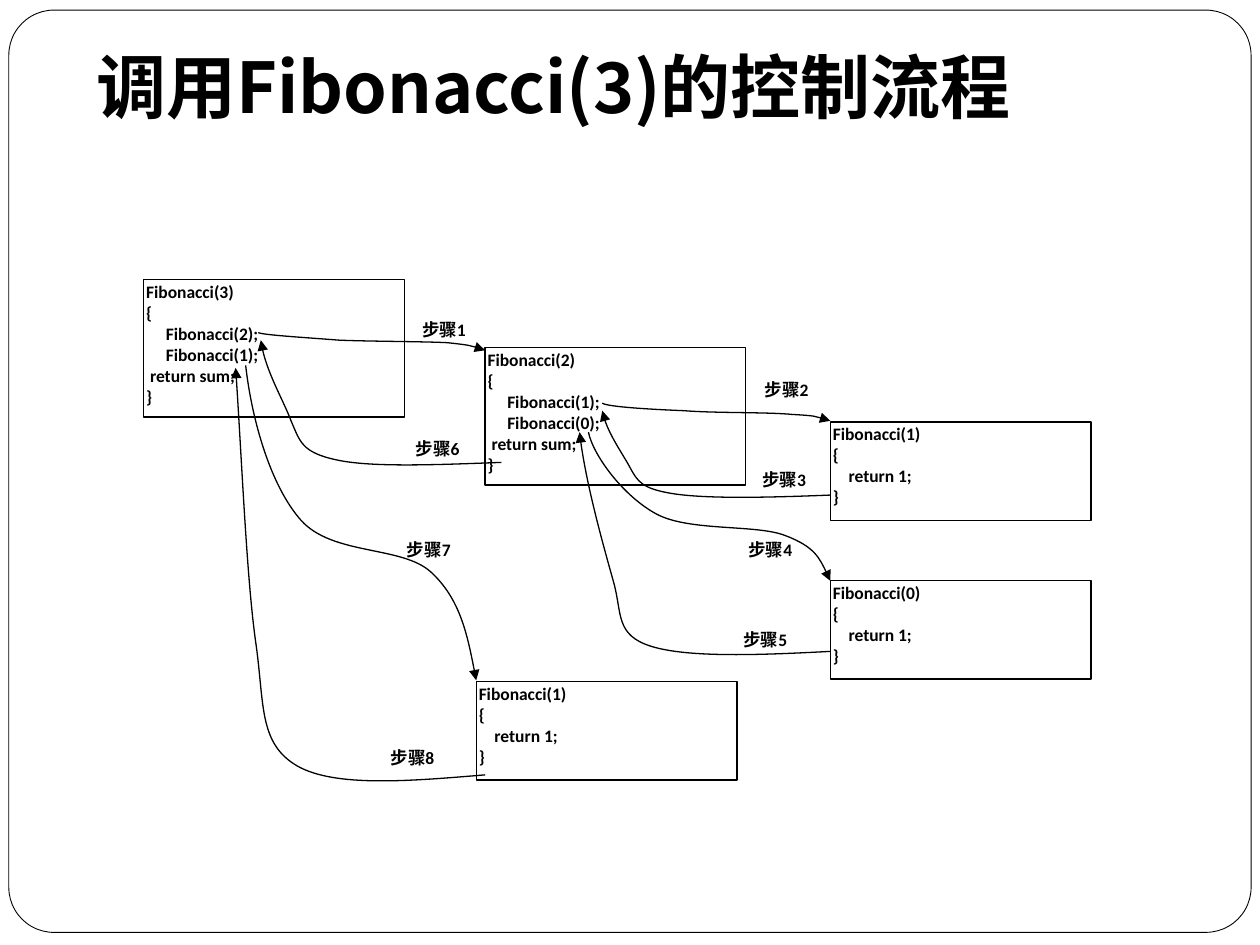
"""Draw the control flow of a call to Fibonacci(3)."""
from dataclasses import dataclass

from lxml import etree
from pptx import Presentation
from pptx.dml.color import RGBColor
from pptx.enum.shapes import MSO_SHAPE
from pptx.enum.text import MSO_ANCHOR, PP_ALIGN
from pptx.oxml.ns import qn
from pptx.util import Emu, Inches, Pt

RECTANGLE, ROUNDED = MSO_SHAPE.RECTANGLE, MSO_SHAPE.ROUNDED_RECTANGLE
TOP = MSO_ANCHOR.TOP
LEFT, JUSTIFY = PP_ALIGN.LEFT, PP_ALIGN.JUSTIFY
COLUMNS, ROWS = 100, 75
CELL = Inches(0.1)
CALL_WIDTH = 20.7
LABEL_SIZE = (4.9, 2.5)


@dataclass(frozen=True)
class Theme:
    ink: RGBColor = RGBColor(0, 0, 0)
    paper: RGBColor = RGBColor(255, 255, 255)
    code_font: str = "Calibri"
    chinese_font: str = "Noto Sans CJK SC"
    title_size: Pt = Pt(40)
    code_size: Pt = Pt(10)
    border_width: Pt = Pt(0.5)
    line_width: Pt = Pt(0.75)


@dataclass(frozen=True)
class Call:
    argument: int
    column: float
    row: float

    def code(self) -> list[str]:
        n = self.argument
        body = ["    return 1;"]
        if n > 1:
            body = [f"     Fibonacci({n - 1});", f"     Fibonacci({n - 2});", " return sum;"]
        return [f"Fibonacci({n})", "{", *body, "}"]

    def height(self) -> float:
        return 10.9 if self.argument > 1 else 7.8


@dataclass(frozen=True)
class Step:
    label_at: tuple[float, float]
    curve: tuple[tuple[float, float], ...]


THEME = Theme()

CALLS = [
    Call(3, 11.4, 22.2),
    Call(2, 38.5, 27.6),
    Call(1, 65.9, 33.5),
    Call(0, 65.9, 46.1),
    Call(1, 37.8, 54.1),
]

STEPS = [
    Step((33.3, 25.2), ((20.5, 26.4), (20.9, 26.6), (24.4, 26.8), (26.9, 27), (29.4, 27.1),
                        (33.6, 27.1), (35.5, 27.2), (37.4, 27.4), (38, 27.6), (38.5, 27.8))),
    Step((60.5, 30), ((47.8, 32), (48.2, 32.3), (51.8, 32.5), (54.3, 32.6), (56.8, 32.8),
                      (60.9, 32.7), (62.9, 32.9), (64.8, 33), (65.3, 33.2), (65.9, 33.4))),
    Step((60.3, 37.1), ((65.9, 39.3), (60.9, 39.5), (56.2, 39.6), (53.5, 39.2), (50.9, 38.8),
                        (50.6, 38.2), (50, 37.1), (49.4, 36), (48.1, 34.2), (47.8, 32.6))),
    Step((59.2, 42.7), ((46.7, 34.3), (47.1, 36.2), (49.5, 39.4), (52.1, 40.8), (54.7, 42.2),
                        (60, 41.6), (62.3, 42.5), (64.7, 43.4), (65.3, 44.8), (65.9, 46.1))),
    Step((58.8, 49.8), ((65.9, 51.7), (60.2, 52), (54.6, 52.2), (51.7, 51.3), (48.8, 50.4),
                        (49.4, 48.7), (48.7, 46.2), (48, 43.7), (46.4, 38.1), (46, 34.3))),
    Step((32.8, 34.7), ((39.8, 36.7), (34.5, 36.9), (29.4, 37.1), (26.7, 36.5), (23.9, 35.9),
                        (23.8, 35), (23.1, 33.4), (22.5, 31.8), (21, 29.3), (20.7, 27))),
    Step((32.1, 42.7), ((19.5, 29), (20, 33.4), (21.5, 38.6), (23.9, 41.3), (26.4, 44.1),
                        (31.9, 43.3), (34.2, 45.4), (36.5, 47.5), (37.2, 50.8), (37.8, 54))),
    Step((30.8, 59.2), ((38.5, 61.5), (32.5, 62), (26.6, 62.5), (23.6, 60.8), (20.5, 59),
                        (21, 55.9), (20.3, 51), (19.6, 46.1), (19.2, 36.6), (18.7, 29.2))),
]


def cells(*counts: float) -> list[Emu]:
    """Turn counts of grid cells into lengths."""
    return [Emu(round(count * CELL)) for count in counts]


def write(shape, lines: list[str], size: Pt, font: str, insets: tuple[float, float]) -> None:
    """Set bold lines of text from the top left of a shape."""
    frame = shape.text_frame
    frame.word_wrap = True
    frame.vertical_anchor = TOP
    frame.margin_left = frame.margin_right = Inches(insets[0])
    frame.margin_top = frame.margin_bottom = Inches(insets[1])
    frame.text = "\n".join(lines)
    for line, paragraph in zip(lines, frame.paragraphs):
        paragraph.alignment = LEFT if line.startswith(" ") else JUSTIFY
        paragraph.font.size = size
        paragraph.font.bold = True
        paragraph.font.color.rgb = THEME.ink
        paragraph.font.name = font
        properties = paragraph._p.get_or_add_pPr().get_or_add_defRPr()
        etree.SubElement(properties, qn("a:ea"), typeface=THEME.chinese_font)


def write_code(shape, lines: list[str]) -> None:
    """Set small code text in a shape."""
    write(shape, lines, THEME.code_size, THEME.code_font, (0.02, 0.01))


def outline(shape, width: Pt) -> None:
    """Give a shape a plain outline without fill or shadow."""
    shape.shadow.inherit = False
    shape.fill.background()
    shape.line.color.rgb = THEME.ink
    shape.line.width = width


def draw_border(slide) -> None:
    """Draw the rounded border around the slide."""
    border = slide.shapes.add_shape(ROUNDED, *cells(0.7, 0.8, COLUMNS - 1.4, ROWS - 1.8))
    border.adjustments[0] = 0.049
    outline(border, THEME.border_width)
    border.fill.solid()
    border.fill.fore_color.rgb = THEME.paper


def draw_title(slide, wording: str) -> None:
    """Write the slide's heading."""
    title = slide.shapes.add_textbox(*cells(6.7, 3, 89.8, 12.5))
    write(title, [wording], THEME.title_size, THEME.chinese_font, (0.1, 0.05))


def draw_call(slide, call: Call) -> None:
    """Draw one call as a box holding its code."""
    box = slide.shapes.add_shape(
        RECTANGLE, *cells(call.column, call.row, CALL_WIDTH, call.height()))
    outline(box, THEME.line_width)
    write_code(box, call.code())


def draw_step(slide, number: int, step: Step) -> None:
    """Draw a curved arrow and its numbered label."""
    start, *controls = [cells(*point) for point in step.curve]
    builder = slide.shapes.build_freeform(*start)
    builder.add_line_segments(controls, close=False)
    arrow = builder.convert_to_shape()
    outline(arrow, THEME.line_width)
    segments = list(arrow._element.iter(qn("a:lnTo")))
    for first, second, third in zip(segments[::3], segments[1::3], segments[2::3]):
        first.tag = qn("a:cubicBezTo")
        for segment in (second, third):
            first.append(segment[0])
            segment.getparent().remove(segment)
    etree.SubElement(arrow.line._get_or_add_ln(), qn("a:tailEnd"), type="triangle")
    label = slide.shapes.add_textbox(*cells(*step.label_at, *LABEL_SIZE))
    write_code(label, [f"步骤{number}"])


def main() -> None:
    """Build and save the slide."""
    presentation = Presentation()
    presentation.slide_width, presentation.slide_height = cells(COLUMNS, ROWS)
    slide = presentation.slides.add_slide(presentation.slide_layouts[6])
    draw_border(slide)
    draw_title(slide, "调用Fibonacci(3)的控制流程")
    for call in CALLS:
        draw_call(slide, call)
    for number, step in enumerate(STEPS, start=1):
        draw_step(slide, number, step)
    presentation.save("out.pptx")


if __name__ == "__main__":
    main()
